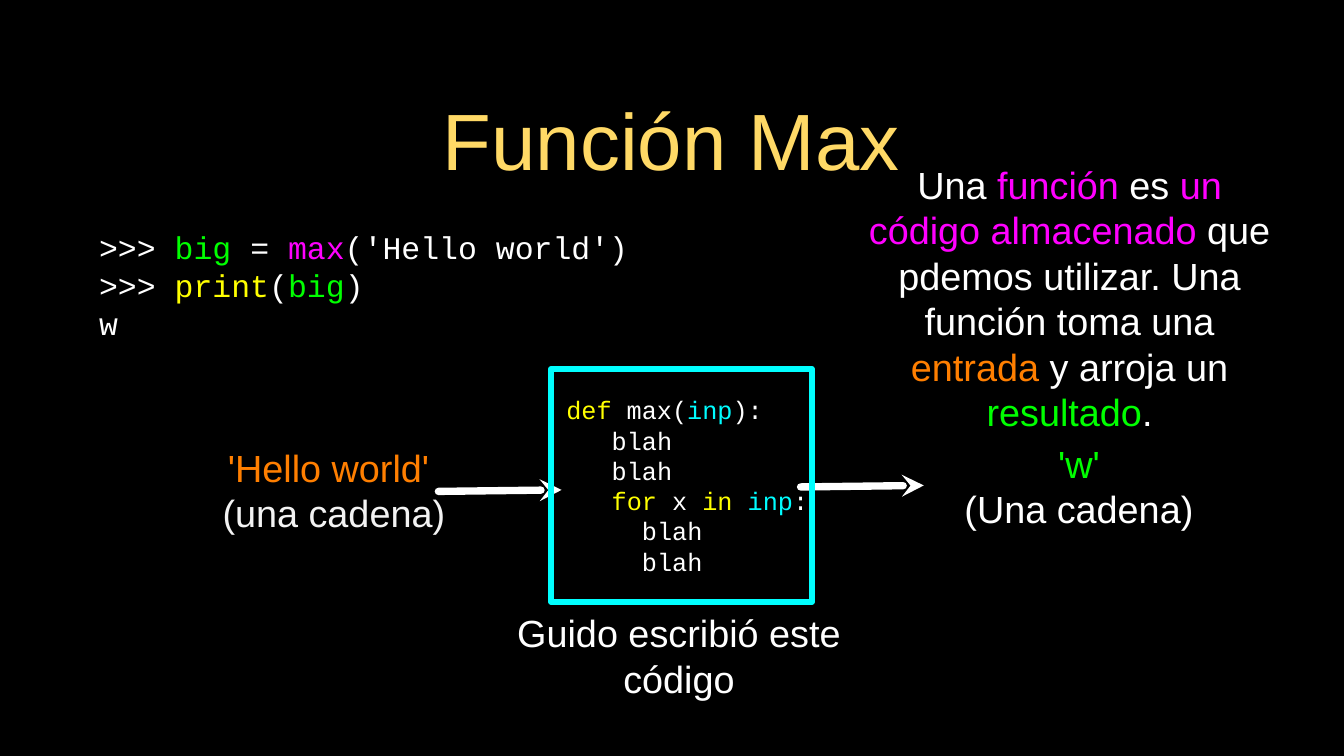
from lxml import etree
from pptx import Presentation
from pptx.dml.color import RGBColor
from pptx.enum.shapes import MSO_CONNECTOR, MSO_SHAPE
from pptx.enum.text import MSO_ANCHOR, PP_ALIGN
from pptx.oxml.ns import qn
from pptx.util import Cm, Pt

LEFT, CENTER = PP_ALIGN.LEFT, PP_ALIGN.CENTER
MIDDLE = MSO_ANCHOR.MIDDLE
RECTANGLE = MSO_SHAPE.RECTANGLE
STRAIGHT = MSO_CONNECTOR.STRAIGHT

SANS, MONO = "Arial", "Courier New"
BLACK, WHITE, PALE, GOLD = "000000", "FFFFFF", "F3F3F3", "FFD966"
GREEN, PINK, ORANGE, YELLOW = "00FF00", "FF00FF", "FF7F00", "FFFF00"
CYAN, AQUA = "00FFFF", "00FDFF"


def color(value):
    return RGBColor.from_string(value)


def write(shape, lines, size=36, font=SANS, align=CENTER, inset=0):
    """Fill a shape with lines, each a list of (text, colour) spans."""
    frame = shape.text_frame
    frame.word_wrap = True
    frame.vertical_anchor = MIDDLE
    frame.margin_left = frame.margin_right = Cm(inset)
    frame.margin_top = frame.margin_bottom = Cm(inset)
    for index, line in enumerate(lines):
        para = frame.paragraphs[0] if index == 0 else frame.add_paragraph()
        para.alignment = align
        for text, tint in line:
            span = para.add_run()
            span.text = text
            span.font.name = font
            span.font.size = Pt(size)
            span.font.color.rgb = color(tint)


def add_text(page, box, lines, **style):
    shape = page.shapes.add_textbox(*(Cm(length) for length in box))
    write(shape, lines, **style)


def add_arrow(page, left, top, length=4.14, rise=0.05):
    arrow = page.shapes.add_connector(
        STRAIGHT, Cm(left), Cm(top), Cm(left + length), Cm(top - rise))
    arrow.line.color.rgb = color(WHITE)
    arrow.line.width = Pt(7)
    outline = arrow.line._get_or_add_ln()
    outline.set("cap", "rnd")
    etree.SubElement(outline, qn("a:round"))
    etree.SubElement(outline, qn("a:tailEnd"), type="stealth")
    etree.SubElement(arrow._element.spPr, qn("a:effectLst"))


def add_session(page, box):
    """Interpreter session that calls max."""
    add_text(page, box, [
        [(">>> ", WHITE), ("big", GREEN), (" = ", WHITE), ("max", PINK),
         ("('Hello world')", WHITE)],
        [(">>> ", WHITE), ("print", YELLOW), ("(", WHITE), ("big", GREEN),
         (")", WHITE)],
        [("w", WHITE)],
    ], size=30, font=MONO, align=LEFT)


def add_explanation(page, box):
    """What a function is."""
    add_text(page, box, [[
        ("Una ", WHITE), ("función", PINK), (" es ", WHITE),
        ("un código almacenado", PINK),
        (" que pdemos utilizar. Una función toma una ", WHITE),
        ("entrada ", ORANGE), ("y arroja un ", WHITE),
        ("resultado", GREEN), (".", WHITE),
    ]])


def add_function_box(page, box):
    """Framed body of max with its caption below."""
    left, top, width, height = box
    frame = page.shapes.add_shape(RECTANGLE, *(Cm(length) for length in box))
    frame.shadow.inherit = False
    frame.fill.background()
    frame.line.color.rgb = color(CYAN)
    frame.line.width = Pt(6)
    blah, inner_blah = [("    blah", WHITE)], [("      blah", WHITE)]
    write(frame, [
        [(" def", YELLOW), (" max(", WHITE), ("inp", AQUA), ("):", WHITE)],
        blah,
        blah,
        [("    for", YELLOW), (" x ", WHITE), ("in ", YELLOW),
         ("inp", AQUA), (":", WHITE)],
        inner_blah,
        inner_blah,
    ], size=24, font=MONO, align=LEFT)
    add_text(page, (left - 1.98, top + height + 0.94, 12.55, 1.73),
             [[("Guido escribió este código", WHITE)]])


def add_flow(page, box):
    """Input, function and output, joined by arrows."""
    left, top, width, height = box
    middle = top + height / 2
    add_text(page, (left, middle - 1.45, 7.92, 3.18),
             [[("'Hello world' ", ORANGE)], [("(una cadena)", PALE)]])
    add_text(page, (left + width - 7.85, middle - 1.58, 7.85, 3.18),
             [[("'w'", GREEN)], [("(Una cadena)", WHITE)]])
    add_arrow(page, left + 7.47, middle + 0.2)
    add_arrow(page, left + 19.64, middle + 0.05)
    add_function_box(page, (left + 11.26, top, 8.76, height))


def main():
    deck = Presentation()
    deck.slide_width, deck.slide_height = Cm(45.16), Cm(25.4)
    page = deck.slides.add_slide(deck.slide_layouts[6])
    page.background.fill.solid()
    page.background.fill.fore_color.rgb = color(BLACK)

    # Title
    add_text(page, (3.2, 2.24, 38.71, 4.83), [[("Función Max", GOLD)]],
             size=76, inset=0.1)
    # Code and explanation
    add_session(page, (3.33, 7.26, 19.81, 4.62))
    add_explanation(page, (29.08, 6.35, 13.72, 7.32))
    # Diagram
    add_flow(page, (7.26, 12.4, 32.92, 7.82))

    deck.save("out.pptx")


if __name__ == "__main__":
    main()
